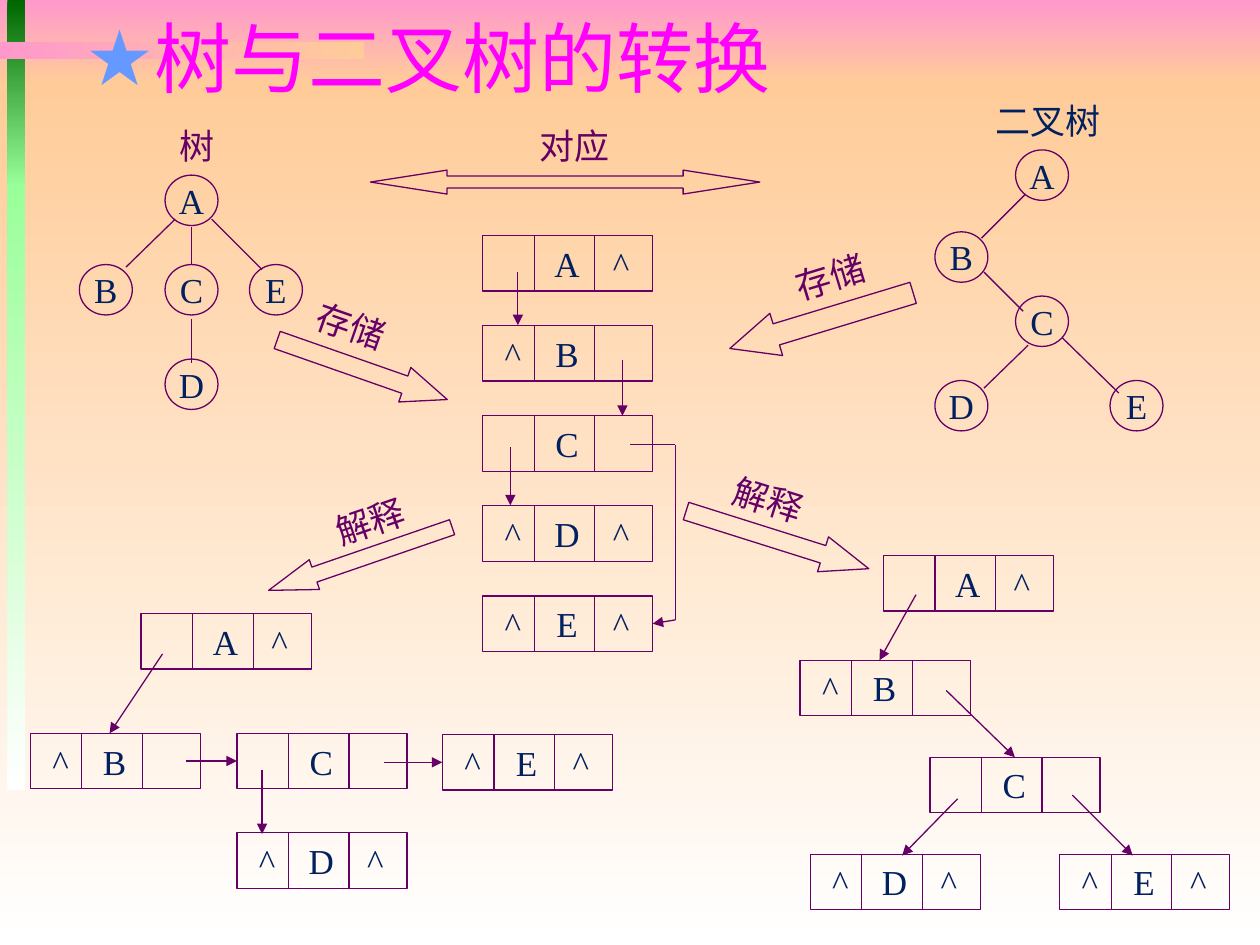
from lxml import etree
from pptx import Presentation
from pptx.dml.color import RGBColor
from pptx.enum.shapes import MSO_CONNECTOR, MSO_SHAPE
from pptx.enum.text import MSO_ANCHOR, MSO_AUTO_SIZE, PP_ALIGN
from pptx.oxml.ns import qn
from pptx.util import Inches, Pt

RECT, OVAL = MSO_SHAPE.RECTANGLE, MSO_SHAPE.OVAL
LEFT_ARROW, RIGHT_ARROW = MSO_SHAPE.LEFT_ARROW, MSO_SHAPE.RIGHT_ARROW
DOUBLE_ARROW = MSO_SHAPE.LEFT_RIGHT_ARROW
STRAIGHT = MSO_CONNECTOR.STRAIGHT
CENTER, LEFT = PP_ALIGN.CENTER, PP_ALIGN.LEFT
MIDDLE, TOP = MSO_ANCHOR.MIDDLE, MSO_ANCHOR.TOP
NO_FIT = MSO_AUTO_SIZE.NONE
TOP_SIDE, LEFT_SIDE, RIGHT_SIDE = 0, 1, 3

PLUM, NAVY, MAGENTA, STAR_BLUE = "660066", "002060", "FF00FF", "6699FF"
NODE_W, NODE_H = 1.35, 0.44
DIVIDERS = (0.41, 0.89)
FIELD_CENTERS = (0.24, 0.67, 1.1)
FIELDS = {
    "A": ("", "A", "^"),
    "B": ("^", "B", ""),
    "C": ("", "C", ""),
    "D": ("^", "D", "^"),
    "E": ("^", "E", "^"),
}


def rgb(value):
    return RGBColor.from_string(value)


class Diagram:
    def __init__(self, slide):
        self.slide = slide
        self.shapes = slide.shapes
        self.font = "Times New Roman"
        self.size = 20
        self.line_width = 0.75

    def style(self, paragraph, color, size=None, font=None):
        paragraph.font.name = font or self.font
        paragraph.font.size = Pt(size or self.size)
        paragraph.font.color.rgb = rgb(color)

    def set_text(self, shape, text, align=CENTER, wrap=False):
        frame = shape.text_frame
        frame.margin_left = frame.margin_right = 0
        frame.margin_top = frame.margin_bottom = 0
        frame.vertical_anchor = MIDDLE
        frame.word_wrap = wrap
        paragraph = frame.paragraphs[0]
        paragraph.text = text
        paragraph.alignment = align
        return paragraph

    def band(self, box, start, end, angle):
        band = self.shapes.add_shape(RECT, *map(Inches, box))
        band.shadow.inherit = False
        band.line.fill.background()
        band.fill.gradient()
        band.fill.gradient_angle = angle
        for stop, color in zip(band.fill.gradient_stops, (start, end)):
            stop.color.rgb = rgb(color)

    def heading(self, text, box):
        title = self.shapes.title.element
        title.getparent().remove(title)
        body = self.slide.placeholders[1]
        body.element.getparent().append(body.element)
        body.left, body.top, body.width, body.height = map(Inches, box)
        frame = body.text_frame
        frame.auto_size = NO_FIT
        frame.vertical_anchor = TOP
        paragraph = frame.paragraphs[0]
        paragraph.text = text
        paragraph.level = 1
        paragraph.line_spacing = 0.9
        paragraph.space_before = Pt(9)
        props = paragraph._p.get_or_add_pPr()
        props.set("marL", str(Inches(0.81)))
        props.set("indent", str(Inches(-0.31)))
        bullet_color = etree.SubElement(props, qn("a:buClr"))
        etree.SubElement(bullet_color, qn("a:srgbClr"), val=STAR_BLUE)
        etree.SubElement(props, qn("a:buChar"), char="★")
        self.style(paragraph, MAGENTA, 44, "Arial")

    def outline(self, kind, box, rotation=0, adjustments=()):
        shape = self.shapes.add_shape(kind, *map(Inches, box))
        shape.shadow.inherit = False
        shape.fill.background()
        shape.line.color.rgb = rgb(PLUM)
        shape.line.width = Pt(self.line_width)
        shape.rotation = rotation
        for index, value in enumerate(adjustments):
            shape.adjustments[index] = value
        return shape

    def link(self, x1, y1, x2, y2, arrow=False, target=None, side=TOP_SIDE):
        line = self.shapes.add_connector(STRAIGHT, *map(Inches, (x1, y1, x2, y2)))
        line.line.color.rgb = rgb(PLUM)
        line.line.width = Pt(self.line_width)
        if target is not None:
            line.end_connect(target, side)
        if arrow:
            etree.SubElement(line.line._get_or_add_ln(), qn("a:tailEnd"), type="triangle")
        etree.SubElement(line._element.spPr, qn("a:effectLst"))

    def circle(self, letter, x, y):
        circle = self.outline(OVAL, (x, y, 0.42, 0.4))
        self.style(self.set_text(circle, letter), NAVY)

    def label(self, text, box, color=PLUM, rotation=0):
        label = self.shapes.add_textbox(*map(Inches, box))
        label.rotation = rotation
        self.style(self.set_text(label, text), color)

    def record(self, letter, x, y):
        record = self.outline(RECT, (x, y, NODE_W, NODE_H))
        text = "".join("\t" + field for field in FIELDS[letter]).rstrip("\t")
        paragraph = self.set_text(record, text, LEFT, True)
        tabs = etree.SubElement(paragraph._p.get_or_add_pPr(), qn("a:tabLst"))
        for center in FIELD_CENTERS:
            etree.SubElement(tabs, qn("a:tab"), pos=str(Inches(center)), algn="ctr")
        self.style(paragraph, NAVY)
        for offset in DIVIDERS:
            self.link(x + offset, y, x + offset, y + NODE_H)
        return record

    def tree(self, circles, branches):
        for letter, x, y in circles:
            self.circle(letter, x, y)
        for branch in branches:
            self.link(*branch)

    def records(self, places):
        return {letter: self.record(letter, x, y) for letter, x, y in places}


def main():
    deck = Presentation()
    deck.slide_width, deck.slide_height = Inches(10), Inches(7.5)
    diagram = Diagram(deck.slides.add_slide(deck.slide_layouts[1]))

    for band in (
        ((0, 0, 10, 0.67), "FF99CC", "FFCC99", 270),
        ((0, 0.67, 10, 6.83), "FFCC99", "FFFFFF", 270),
        ((0.06, 0, 0.14, 1.48), "006600", "99FF99", 270),
        ((0.06, 1.46, 0.14, 4.81), "99FF99", "FFFFFF", 270),
        ((0, 0.33, 2.89, 0.14), "FF99CC", "FFCC99", 0),
    ):
        diagram.band(*band)
    diagram.heading("树与二叉树的转换", (0.08, 0.12, 9.3, 0.92))

    diagram.tree(
        [("A", 1.31, 1.39), ("C", 1.31, 2.1), ("B", 0.63, 2.1), ("E", 1.98, 2.1), ("D", 1.31, 2.85)],
        [(1.52, 1.8, 1.52, 2.1), (1.52, 2.53, 1.52, 2.88), (1.39, 1.74, 1, 2.12), (1.68, 1.74, 2.08, 2.14)],
    )
    diagram.label("树", (1.32, 0.94, 0.48, 0.43))
    diagram.tree(
        [("A", 8.06, 1.19), ("B", 7.42, 1.84), ("C", 8.06, 2.35), ("D", 7.42, 3.02), ("E", 8.81, 3.02)],
        [(8.14, 1.54, 7.79, 1.89), (7.81, 2.16, 8.12, 2.47), (8.43, 2.68, 8.88, 3.12), (8.16, 2.74, 7.81, 3.08)],
    )
    diagram.label("二叉树", (7.8, 0.74, 1.03, 0.43), NAVY)

    storage = diagram.records((letter, 3.83, 1.87 + 0.715 * row) for row, letter in enumerate(FIELDS))
    as_tree = diagram.records(
        [("A", 1.12, 4.87), ("B", 0.24, 5.82), ("C", 1.88, 5.82), ("D", 1.88, 6.61), ("E", 3.51, 5.83)]
    )
    as_binary = diagram.records(
        [("A", 7.01, 4.41), ("B", 6.35, 5.24), ("C", 7.38, 6.01), ("D", 6.43, 6.78), ("E", 8.41, 6.78)]
    )

    diagram.link(5, 3.53, 5.36, 3.53)
    diagram.link(5.36, 3.53, 5.36, 4.92)
    for pointer in (
        (4.11, 2.16, 4.11, 2.58),
        (4.94, 2.86, 4.94, 3.3),
        (4.05, 3.55, 4.05, 4.01),
        (1.29, 5.19, 0.87, 5.82),
        (2.08, 6.11, 2.08, 6.62),
        (7.27, 4.72, 6.98, 5.24),
        (7.6, 6.34, 7.16, 6.79),
        (8.51, 6.31, 8.99, 6.79),
    ):
        diagram.link(*pointer, arrow=True)
    for pointer, target, side in (
        ((5.36, 4.92, 5.18, 4.95), storage["E"], RIGHT_SIDE),
        ((1.48, 6.04, 1.88, 6.04), as_tree["C"], LEFT_SIDE),
        ((3.05, 6.05, 3.51, 6.05), as_tree["E"], LEFT_SIDE),
        ((7.51, 5.48, 8.05, 6.01), as_binary["C"], TOP_SIDE),
    ):
        diagram.link(*pointer, arrow=True, target=target, side=side)

    for kind, arrow_box, head, text, corner, rotation in (
        (DOUBLE_ARROW, (2.94, 1.35, 3.09, 0.19), 3.2, "对应", (4.18, 0.94), 0),
        (RIGHT_ARROW, (2.16, 2.79, 1.43, 0.29), 1.23, "存储", (2.41, 2.37), 19.3),
        (LEFT_ARROW, (5.76, 2.37, 1.52, 0.35), 1.1, "存储", (6.21, 1.98), 343.1),
        (LEFT_ARROW, (2.09, 4.31, 1.54, 0.25), 1.54, "解释", (2.56, 3.92), 341),
        (RIGHT_ARROW, (5.41, 4.14, 1.52, 0.29), 1.31, "解释", (5.72, 3.75), 17.5),
    ):
        diagram.outline(kind, arrow_box, rotation, (0.5, head))
        diagram.label(text, (*corner, 0.76, 0.43), rotation=rotation)

    deck.save("out.pptx")


if __name__ == "__main__":
    main()
